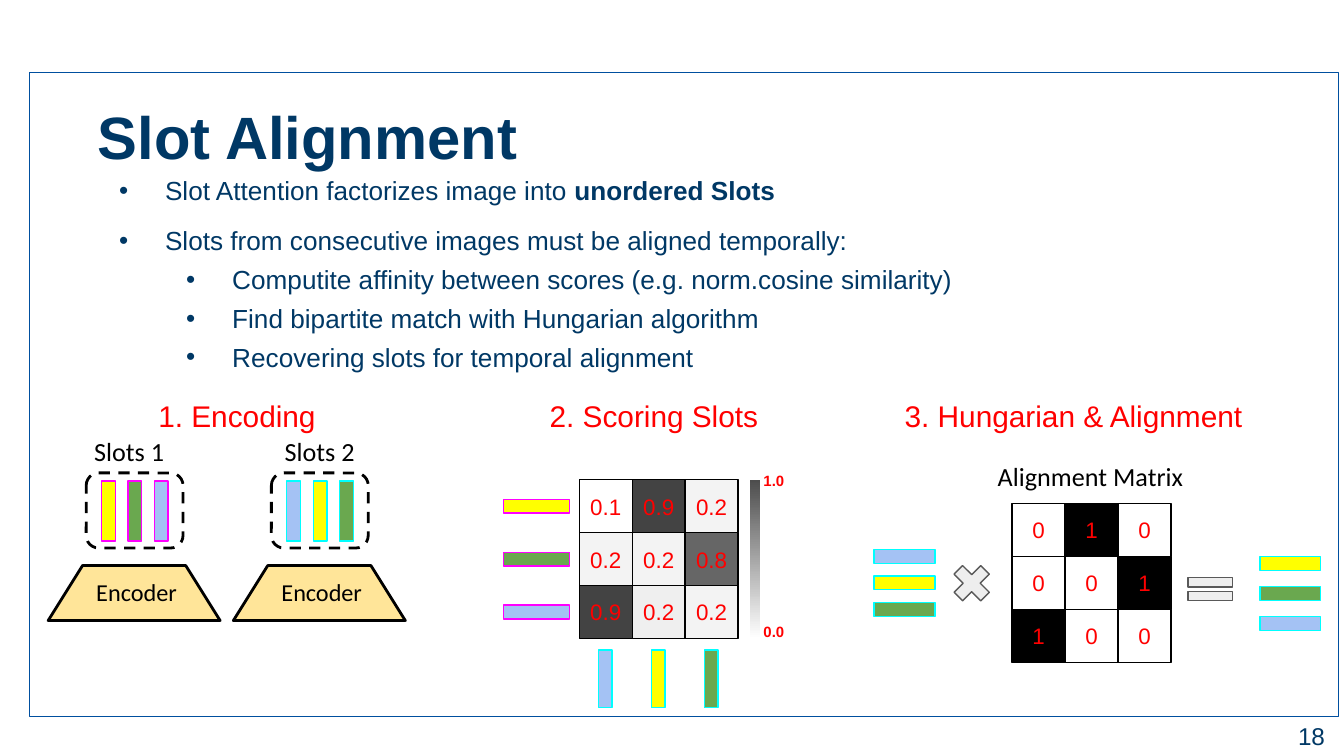
from lxml import etree
from pptx import Presentation
from pptx.dml.color import RGBColor
from pptx.enum.dml import MSO_LINE
from pptx.enum.shapes import MSO_SHAPE
from pptx.enum.text import MSO_ANCHOR, PP_ALIGN
from pptx.oxml.ns import qn
from pptx.util import Cm, Pt

RECT, ROUNDED = MSO_SHAPE.RECTANGLE, MSO_SHAPE.ROUNDED_RECTANGLE
FUNNEL = MSO_SHAPE.FLOWCHART_MANUAL_OPERATION
TIMES, EQUALS = MSO_SHAPE.MATH_MULTIPLY, MSO_SHAPE.MATH_EQUAL
LEFT, CENTER, RIGHT = PP_ALIGN.LEFT, PP_ALIGN.CENTER, PP_ALIGN.RIGHT
TOP, MIDDLE = MSO_ANCHOR.TOP, MSO_ANCHOR.MIDDLE
DASH = MSO_LINE.DASH

NAVY = RGBColor(0x00, 0x38, 0x65)
FRAME_BLUE = RGBColor(0x00, 0x4F, 0x9F)
BLACK = RGBColor(0x00, 0x00, 0x00)
WHITE = RGBColor(0xFF, 0xFF, 0xFF)
RED = RGBColor(0xFF, 0x00, 0x00)
MAGENTA = RGBColor(0xFF, 0x00, 0xFF)
CYAN = RGBColor(0x00, 0xFF, 0xFF)
YELLOW = RGBColor(0xFF, 0xFF, 0x00)
GREEN = RGBColor(0x6A, 0xA8, 0x4F)
BLUE = RGBColor(0xA4, 0xC2, 0xF4)
CREAM = RGBColor(0xFF, 0xE5, 0x99)
PALE = RGBColor(0xF3, 0xF3, 0xF3)
SILVER = RGBColor(0xEF, 0xEF, 0xEF)
SYMBOL_GRAY = RGBColor(0xEE, 0xEE, 0xEE)
MID_GRAY = RGBColor(0x66, 0x66, 0x66)
LINE_GRAY = RGBColor(0x59, 0x59, 0x59)
SCALE_GRAY = RGBColor(0x4D, 0x4D, 0x4D)
DARK = RGBColor(0x43, 0x43, 0x43)

SLOT_W = 0.26
SLOTS_1 = (YELLOW, GREEN, BLUE)
SLOTS_2 = (BLUE, YELLOW, GREEN)
SCORES = (
    (("0.1", WHITE), ("0.9", DARK), ("0.2", PALE)),
    (("0.2", PALE), ("0.2", PALE), ("0.8", MID_GRAY)),
    (("0.9", DARK), ("0.2", SILVER), ("0.2", PALE)),
)
ALIGNMENT = ("010", "001", "100")
STEPS = (
    ("1. Encoding", 1.8, 5.36),
    ("2. Scoring Slots", 9.68, 5.36),
    ("3. Hungarian & Alignment", 15.82, 8.94),
)
# level, indent and space before in cm / points, then (text, bold) runs
BULLETS = (
    (0, 1.27, 0, (("Slot Attention factorizes image into ", False),
                  ("unordered Slots", True))),
    (0, 1.27, 10, (("Slots from consecutive images must be aligned temporally:", False),)),
    (1, 2.54, 4, (("Computite affinity between scores (e.g. norm.cosine similarity)", False),)),
    (1, 2.54, 4, (("Find bipartite match with Hungarian algorithm", False),)),
    (1, 2.54, 4, (("Recovering slots for temporal alignment", False),)),
)


def set_frame(tf, inset_x, inset_y, anchor=TOP):
    frame = {"margin_left": Cm(inset_x), "margin_right": Cm(inset_x),
             "margin_top": Cm(inset_y), "margin_bottom": Cm(inset_y),
             "vertical_anchor": anchor, "word_wrap": True}
    for name, value in frame.items():
        setattr(tf, name, value)


def add_run(p, text, size, color, font="Arial", bold=False):
    r = p.add_run()
    r.text = text
    for name, value in {"name": font, "size": Pt(size), "bold": bold}.items():
        setattr(r.font, name, value)
    r.font.color.rgb = color


def add_label(s, text, x, y, w, h, size, color, align=CENTER, inset=(0.25, 0.25), **font):
    tf = s.shapes.add_textbox(Cm(x), Cm(y), Cm(w), Cm(h)).text_frame
    set_frame(tf, *inset)
    p = tf.paragraphs[0]
    p.alignment = align
    add_run(p, text, size, color, **font)


def add_box(s, kind, x, y, w, h, fill, line, width=0.75):
    sp = s.shapes.add_shape(kind, Cm(x), Cm(y), Cm(w), Cm(h))
    sp.shadow.inherit = False
    if fill is None:
        sp.fill.background()
    else:
        sp.fill.solid()
        sp.fill.fore_color.rgb = fill
    sp.line.color.rgb = line
    sp.line.width = Pt(width)
    return sp


def add_title(s):
    title = s.shapes.title
    place = {"left": Cm(1.6), "top": Cm(1.55), "width": Cm(23.11), "height": Cm(1.7)}
    for name, value in place.items():
        setattr(title, name, value)
    set_frame(title.text_frame, 0.25, 0.13)
    p = title.text_frame.paragraphs[0]
    p.alignment = LEFT
    p.line_spacing = 1.15
    add_run(p, "Slot Alignment", 32, NAVY, bold=True)


def add_bullets(s):
    tf = s.shapes.add_textbox(Cm(1.6), Cm(3.17), Cm(23.04), Cm(4.32)).text_frame
    set_frame(tf, 0.25, 0.13)
    for i, (level, indent, before, runs) in enumerate(BULLETS):
        p = tf.add_paragraph() if i else tf.paragraphs[0]
        p.level = level
        p.space_before = Pt(before)
        pPr = p._p.get_or_add_pPr()
        pPr.set("marL", str(Cm(indent)))
        pPr.set("indent", str(-Cm(0.87)))
        color = etree.SubElement(pPr, qn("a:buClr"))
        etree.SubElement(color, qn("a:srgbClr"), val=str(NAVY))
        etree.SubElement(pPr, qn("a:buFont"), typeface="Arial")
        etree.SubElement(pPr, qn("a:buChar"), char="•")
        for text, bold in runs:
            add_run(p, text, 14, NAVY, bold=bold)


def add_columns(s, colors, x, y, length, step, line):
    """Draw upright slots side by side."""
    for i, color in enumerate(colors):
        add_box(s, RECT, x + i * step, y, SLOT_W, length, color, line)


def add_rows(s, colors, x, y, length, step, line):
    """Draw flat slots below one another."""
    for i, color in enumerate(colors):
        add_box(s, RECT, x, y + i * step, length, SLOT_W, color, line)


def add_encoder(s, x, name, name_x, colors, line):
    add_box(s, FUNNEL, x, 10.69, 3.25, 1.04, CREAM, BLACK, 1.5).rotation = 180
    add_label(s, "Encoder", x + 0.59, 10.67, 2.16, 1.09, 13, BLACK,
              inset=(0.05, 0.25), font="Calibri")
    add_box(s, ROUNDED, x + 0.72, 8.94, 1.83, 1.42, None, BLACK, 1.5).line.dash_style = DASH
    add_columns(s, colors, x + 1.01, 9.09, 1.14, 0.5, line)
    add_label(s, name, name_x, 7.98, 1.83, 1.12, 14, BLACK, LEFT, (0.15, 0.25), font="Calibri")


def add_matrix(s, rows, x, y):
    """Draw a grid of 1 cm cells from rows of (text, fill)."""
    for i, row in enumerate(rows):
        for j, (text, fill) in enumerate(row):
            tf = add_box(s, RECT, x + j, y + i, 1, 1, fill, BLACK).text_frame
            set_frame(tf, 0.05, 0.25, MIDDLE)
            p = tf.paragraphs[0]
            p.alignment = CENTER
            add_run(p, text, 12, RED)


def add_color_scale(s):
    bar = add_box(s, RECT, 14.17, 9.07, 0.2, 3, WHITE, WHITE)
    bar.line.fill.background()
    bar.fill.gradient()
    bar.fill.gradient_angle = 270
    for stop, color in zip(bar.fill.gradient_stops, (SCALE_GRAY, WHITE)):
        stop.color.rgb = color
    for text, y in (("1.0", 8.86), ("0.0", 11.71)):
        add_label(s, text, 14.43, y, 0.74, 0.43, 8, RED, LEFT, (0, 0.05), bold=True)


def main():
    prs = Presentation()
    prs.slide_width, prs.slide_height = Cm(25.4), Cm(14.29)
    s = prs.slides.add_slide(prs.slide_layouts[5])
    add_box(s, RECT, 0.56, 1.37, 24.74, 12.17, None, FRAME_BLUE)
    add_title(s)
    add_bullets(s)
    for text, x, w in STEPS:
        add_label(s, text, x, 7.26, w, 1.19, 16, RED)

    add_encoder(s, 0.91, "Slots 1", 1.63, SLOTS_1, MAGENTA)
    add_encoder(s, 4.41, "Slots 2", 5.23, SLOTS_2, CYAN)

    add_matrix(s, SCORES, 10.95, 9.07)
    add_rows(s, SLOTS_1, 9.52, 9.44, 1.25, 1, MAGENTA)
    add_columns(s, SLOTS_2, 11.31, 12.29, 1.09, 1, CYAN)
    add_color_scale(s)

    add_label(s, "Alignment Matrix", 17.93, 8.46, 5.36, 1.12, 14, BLACK,
              inset=(0.15, 0.25), font="Calibri")
    add_rows(s, SLOTS_2, 16.52, 10.39, 1.15, 0.5, CYAN)
    add_box(s, TIMES, 17.88, 10.54, 0.97, 0.97, SYMBOL_GRAY, LINE_GRAY)
    fills = {"0": WHITE, "1": BLACK}
    add_matrix(s, [[(c, fills[c]) for c in row] for row in ALIGNMENT], 19.13, 9.52)
    add_box(s, EQUALS, 22.3, 10.77, 1.14, 0.74, SYMBOL_GRAY, LINE_GRAY)
    add_rows(s, SLOTS_1, 23.81, 10.52, 1.15, 0.57, CYAN)

    add_label(s, "18", 23.77, 13.39, 1.52, 1.09, 13, NAVY, RIGHT)
    prs.save("out.pptx")


if __name__ == "__main__":
    main()
